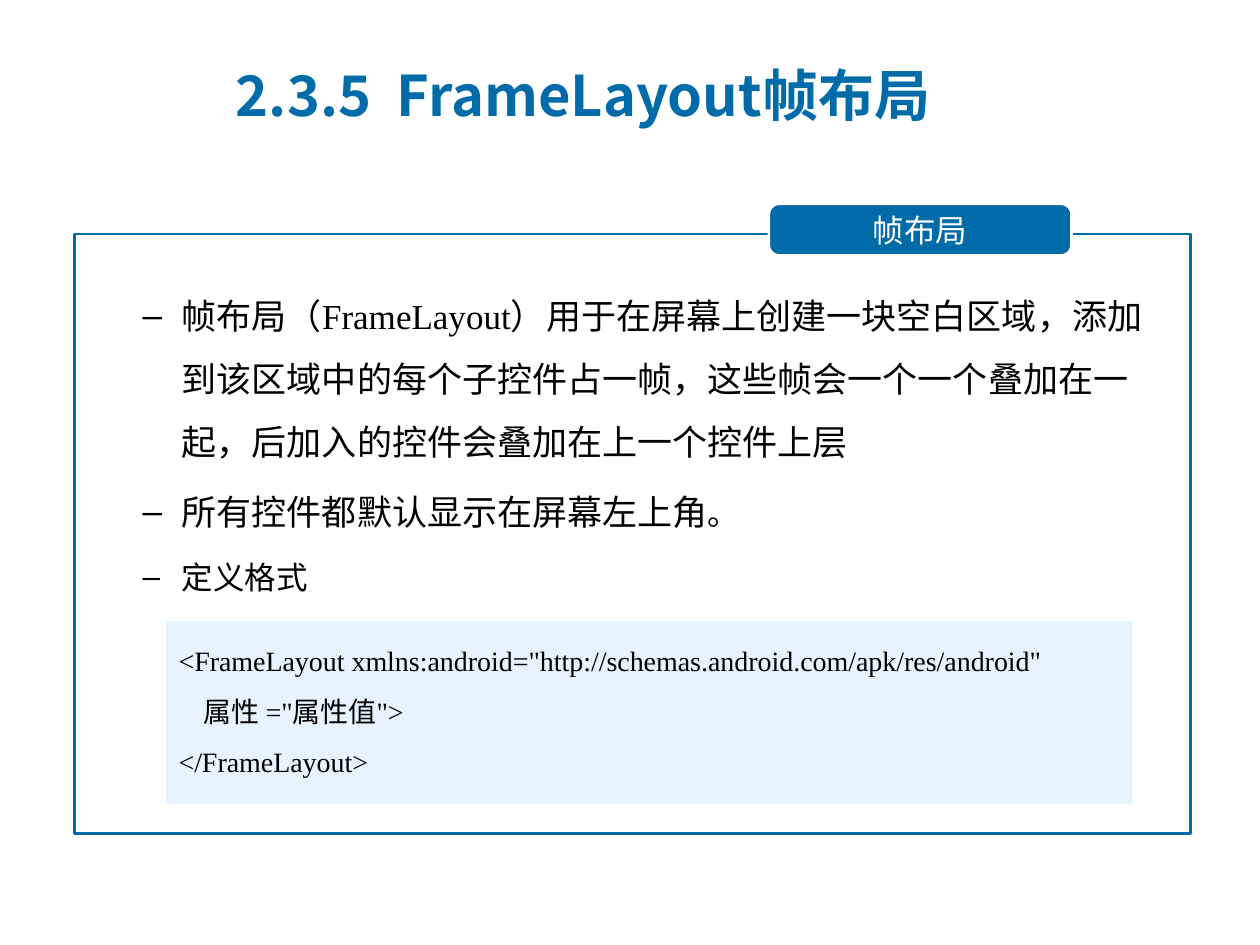
from lxml.etree import SubElement
from pptx import Presentation
from pptx.dml.color import RGBColor
from pptx.enum.shapes import MSO_SHAPE as Preset
from pptx.enum.text import MSO_ANCHOR as Anchor, MSO_AUTO_SIZE as AutoSize, PP_ALIGN as Align
from pptx.oxml.ns import qn
from pptx.util import Cm, Pt

BLUE = RGBColor(0x00, 0x6B, 0xA9)
PALE_BLUE = RGBColor(0xE7, 0xF4, 0xFF)
WHITE = RGBColor(0xFF, 0xFF, 0xFF)
BLACK = RGBColor(0x00, 0x00, 0x00)
SANS = "Noto Sans CJK SC"
ARIAL = "Arial"
TIMES = "Times New Roman"

TITLE = "2.3.5  FrameLayout帧布局"
TAB_LABEL = "帧布局"
BULLETS = [
    [
        ("帧", ARIAL, 20),
        ("布局（FrameLayout）", TIMES, 20),
        ("用于在屏幕上创建一块空白区域", ARIAL, 20),
        ("，", TIMES, 20),
        ("添加到该区域中的每个子控件占一帧，这些帧会一个一个叠加在一起，"
         "后加入的控件会叠加在上一个控件上层", ARIAL, 20),
    ],
    [("所有控件都默认显示在屏幕左上角", TIMES, 20), ("。", ARIAL, 18)],
    [("定义格式", ARIAL, 18)],
]
CODE_LINES = [
    '<FrameLayout xmlns:android="http://schemas.android.com/apk/res/android"',
    '    属性 ="属性值">',
    "</FrameLayout>",
]


def place(shape, left, top, width, height):
    shape.left, shape.top = Cm(left), Cm(top)
    shape.width, shape.height = Cm(width), Cm(height)


def add_run(paragraph, text, name, size, color, bold=False):
    run = paragraph.add_run()
    run.text = text
    font = run.font
    font.name, font.size, font.bold = name, Pt(size), bold
    font.color.rgb = color
    if name == SANS:
        SubElement(run._r.get_or_add_rPr(), qn("a:ea")).set("typeface", name)


def paragraphs_for(text_frame, items):
    for index, item in enumerate(items):
        paragraph = text_frame.add_paragraph() if index else text_frame.paragraphs[0]
        yield index, paragraph, item


def add_box(slide, preset, box, fill=None, line=None):
    shape = slide.shapes.add_shape(preset, *(Cm(length) for length in box))
    shape.shadow.inherit = False
    if fill is None:
        shape.fill.background()
    else:
        shape.fill.solid()
        shape.fill.fore_color.rgb = fill
    if line is None:
        shape.line.fill.background()
    else:
        shape.line.color.rgb = line
        shape.line.width = Pt(1.5)
    return shape


def fill_title(slide):
    title = slide.shapes.title
    place(title, 4.5, 1.12, 19.6, 1.55)
    text_frame = title.text_frame
    text_frame.auto_size = AutoSize.NONE
    text_frame.vertical_anchor = Anchor.MIDDLE
    paragraph = text_frame.paragraphs[0]
    paragraph.alignment = Align.LEFT
    add_run(paragraph, TITLE, SANS, 32, BLUE, bold=True)


def set_dash(paragraph):
    properties = paragraph._p.get_or_add_pPr()
    properties.set("marL", str(Cm(2.06)))
    properties.set("indent", str(Cm(-0.79)))
    SubElement(properties, qn("a:buChar")).set("char", "–")


def fill_bullets(slide):
    body = slide.placeholders[1]
    place(body, 1.35, 5.38, 22.15, 8.74)
    text_frame = body.text_frame
    text_frame.auto_size = AutoSize.NONE
    for index, paragraph, runs in paragraphs_for(text_frame, BULLETS):
        paragraph.level = 1
        set_dash(paragraph)
        paragraph.line_spacing = 1.5
        paragraph.space_before = Pt(4 if index else 0)
        for text, name, size in runs:
            add_run(paragraph, text, name, size, BLACK)


def add_tab(slide):
    tab = add_box(slide, Preset.ROUNDED_RECTANGLE, (15.5, 4.11, 6.1, 1.04), BLUE, WHITE)
    tab.adjustments[0] = 0.2
    text_frame = tab.text_frame
    text_frame.vertical_anchor = Anchor.MIDDLE
    paragraph = text_frame.paragraphs[0]
    paragraph.alignment = Align.CENTER
    add_run(paragraph, TAB_LABEL, SANS, 18, WHITE)


def add_code(slide):
    panel = add_box(slide, Preset.RECTANGLE, (3.35, 12.52, 19.48, 3.68), PALE_BLUE)
    text_frame = panel.text_frame
    text_frame.vertical_anchor = Anchor.TOP
    for _, paragraph, line in paragraphs_for(text_frame, CODE_LINES):
        paragraph.alignment = Align.LEFT
        paragraph.line_spacing = 1.5
        add_run(paragraph, line, TIMES, 16, BLACK)


def main():
    presentation = Presentation()
    presentation.slide_width, presentation.slide_height = Cm(25.4), Cm(19.05)
    slide = presentation.slides.add_slide(presentation.slide_layouts[1])
    fill_title(slide)
    fill_bullets(slide)
    add_box(slide, Preset.RECTANGLE, (1.5, 4.72, 22.5, 12.09), line=BLUE)
    add_tab(slide)
    add_code(slide)
    presentation.save("out.pptx")


if __name__ == "__main__":
    main()
